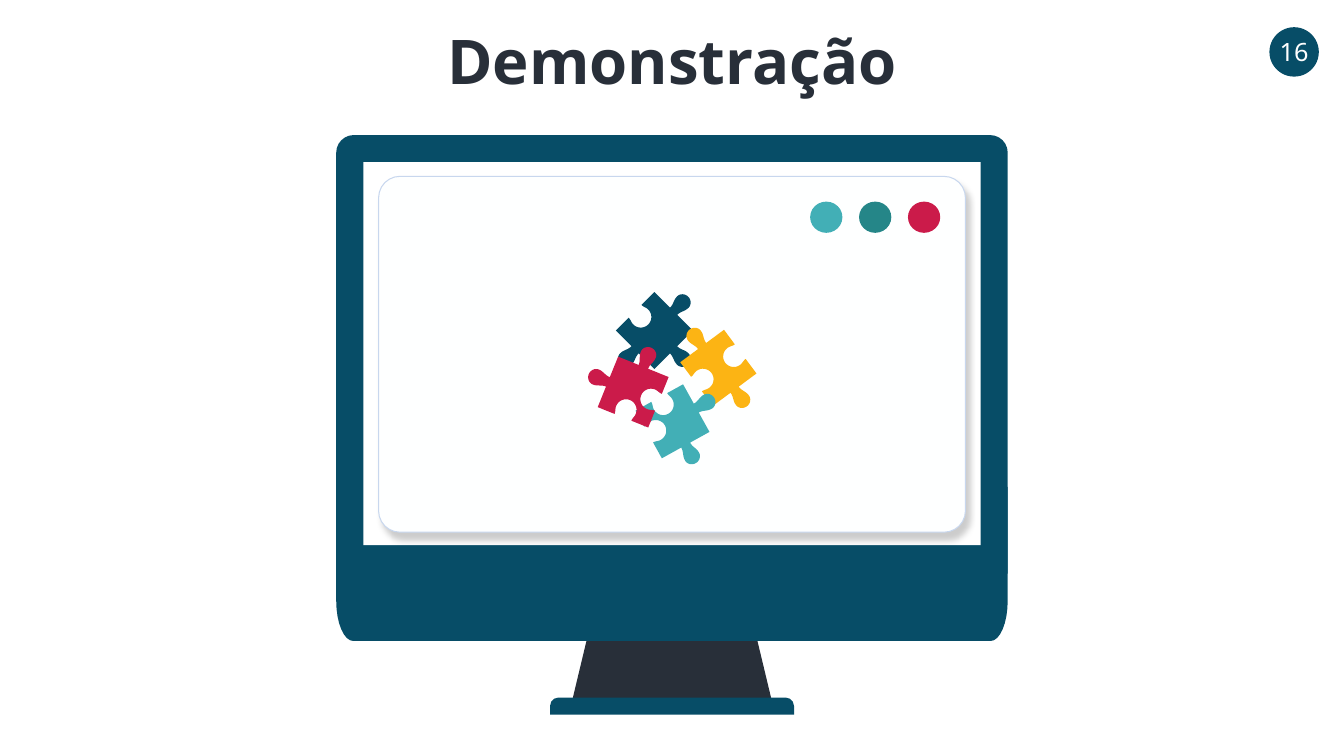
"""Build the demonstration slide: a desktop monitor showing a four-piece puzzle."""
import math

import lxml.etree
import pptx
import pptx.dml.color
import pptx.enum.shapes
import pptx.enum.text
import pptx.util

TITLE = "Demonstração"
PAGE = "16"
COLS, ROWS = 1333, 750
CURVE_STEPS = 8

THEME = {
    "font": "Noto Sans", "title": 44, "page": 18, "edge": 0.75,
    "navy": "074D67", "ink": "282F39", "white": "FFFFFF", "panel": "FEFFFF",
    "outline": "C8D7EE", "red": "CB1B4A", "green": "258688",
    "teal": "42AFB6", "gold": "FCB414", "shadow": "000000",
}

CENTERED = {
    "title": {"top": 17, "width": 874, "height": 84},
    "stand": {"top": 604, "width": 197, "height": 89},
    "foot": {"top": 692, "width": 242, "height": 17},
    "chin": {"top": 483, "width": 666, "height": 153},
    "bezel": {"top": 134, "width": 666, "height": 435},
    "screen": {"top": 161, "width": 612, "height": 380},
    "window": {"top": 175, "width": 582, "height": 353},
}
CHIN_RADII = (17, 40)
BADGE = (1259, 27, 49, 49)

BUTTONS = ["teal", "green", "red"]
BUTTON_W, BUTTON_H = 32, 31
BUTTON_PITCH = 48.5
BUTTON_INSET = 25

PIECE_SIDE = 54
KNOBS = {
    "tab": {"mouth": 5, "bulge": 8, "neck": 13, "depth": 20.5},
    "socket": {"mouth": 9, "bulge": 10.5, "neck": -8, "depth": -18.5},
}
PIECES = [
    {"color": "navy", "center": (649, 328), "angle": -45,
     "sides": ["socket", "tab", "tab", "tab"]},
    {"color": "gold", "center": (712.5, 365), "angle": -36.6,
     "sides": ["tab", "socket", "tab", "socket"]},
    {"color": "teal", "center": (667, 418), "angle": -29,
     "sides": ["socket", "tab", "tab", "socket"]},
    {"color": "red", "center": (628, 389), "angle": 22,
     "sides": ["tab", "socket", "socket", "tab"]},
]

prs = pptx.Presentation()
prs.slide_width = pptx.util.Inches(13.33)
prs.slide_height = pptx.util.Inches(7.5)
CELL_W, CELL_H = prs.slide_width / COLS, prs.slide_height / ROWS


def rgb(name):
    return pptx.dml.color.RGBColor.from_string(THEME[name])


def to_emu(x, y):
    return round(x * CELL_W), round(y * CELL_H)


def centered(name):
    part = CENTERED[name]
    return (COLS - part["width"]) / 2, part["top"], part["width"], part["height"]


def paint(sp, fill):
    sp.shadow.inherit = False
    sp.fill.solid()
    sp.fill.fore_color.rgb = rgb(fill)
    sp.line.fill.background()
    return sp


def add_preset(s, kind, box, fill, adjust=None):
    preset = getattr(pptx.enum.shapes.MSO_SHAPE, kind)
    sp = paint(s.shapes.add_shape(preset, *to_emu(*box[:2]), *to_emu(*box[2:])), fill)
    if adjust is not None:
        sp.adjustments[0] = adjust
    return sp


def add_outline(s, points, fill):
    points = [to_emu(x, y) for x, y in points]
    fb = s.shapes.build_freeform(*points[0], scale=1.0)
    fb.add_line_segments(points[1:], close=True)
    return paint(fb.convert_to_shape(), fill)


def cubic(start, control1, control2, end):
    points = []
    for step in range(CURVE_STEPS + 1):
        t = step / CURVE_STEPS
        weights = ((1 - t) ** 3, 3 * t * (1 - t) ** 2, 3 * t ** 2 * (1 - t), t ** 3)
        corners = (start, control1, control2, end)
        points.append(tuple(sum(w * c[axis] for w, c in zip(weights, corners))
                            for axis in (0, 1)))
    return points


def knob_profile(mouth, bulge, neck, depth):
    """Return a knob's points along a side, measured from the side's middle."""
    flank = cubic((-mouth, 0), (-mouth, neck * 0.4), (-bulge, neck * 0.6), (-bulge, neck))
    cap = cubic((-bulge, neck), (-bulge, neck + (depth - neck) * 0.55),
                (-bulge * 0.55, depth), (0, depth))
    left_half = flank + cap[1:]
    right_half = [(-along, out) for along, out in reversed(left_half[:-1])]
    return left_half + right_half


def piece_outline(center, angle, sides):
    """Walk clockwise round a square, adding a corner and a knob on each side."""
    half = PIECE_SIDE / 2
    points = []
    for quarter, side in enumerate(sides):
        turn = math.radians(angle + 90 * quarter)
        cos, sin = math.cos(turn), math.sin(turn)
        for along, out in [(-half, 0)] + knob_profile(**KNOBS[side]):
            reach = half + out
            points.append((center[0] + along * cos + reach * sin,
                           center[1] + along * sin - reach * cos))
    return points


def chin_outline():
    """Return a box with square top corners and elliptical bottom corners."""
    left, top, width, height = centered("chin")
    right, bottom = left + width, top + height
    rx, ry = CHIN_RADII
    quarter = [math.pi / 2 * i / CURVE_STEPS for i in range(CURVE_STEPS + 1)]
    right_corner = [(right - rx + rx * math.cos(a), bottom - ry + ry * math.sin(a))
                    for a in quarter]
    left_corner = [(left + right - x, y) for x, y in reversed(right_corner)]
    return [(left, top), (right, top)] + right_corner + left_corner


def write(sp, text, size, color, bold=False, wrap=True):
    tf = sp.text_frame
    tf.word_wrap = wrap
    tf.auto_size = pptx.enum.text.MSO_AUTO_SIZE.NONE
    tf.vertical_anchor = pptx.enum.text.MSO_ANCHOR.MIDDLE
    tf.margin_top = tf.margin_bottom = 0
    p = tf.paragraphs[0]
    p.alignment = pptx.enum.text.PP_ALIGN.CENTER
    r = p.add_run()
    r.text = text
    r.font.name = THEME["font"]
    r.font.size = pptx.util.Pt(THEME[size])
    r.font.bold = bold
    r.font.color.rgb = rgb(color)


def cast_shadow(sp, blur, distance, angle, opacity):
    qn = pptx.oxml.ns.qn
    effects = sp._element.spPr.find(qn("a:effectLst"))
    shadow = lxml.etree.SubElement(
        effects, qn("a:outerShdw"), blurRad=str(pptx.util.Pt(blur)),
        dist=str(pptx.util.Pt(distance)), dir=str(angle * 60000), algn="tl", rotWithShape="0")
    color = lxml.etree.SubElement(shadow, qn("a:srgbClr"), val=THEME["shadow"])
    lxml.etree.SubElement(color, qn("a:alpha"), val=str(opacity * 1000))


def add_monitor(s):
    add_preset(s, "TRAPEZOID", centered("stand"), "ink", 0.24)
    add_preset(s, "ROUND_2_SAME_RECTANGLE", centered("foot"), "navy", 0.5)
    add_outline(s, chin_outline(), "navy")
    add_preset(s, "ROUND_2_SAME_RECTANGLE", centered("bezel"), "navy", 0.04)
    add_preset(s, "RECTANGLE", centered("screen"), "white")


def add_window(s):
    left, top, width, height = centered("window")
    window = add_preset(s, "ROUNDED_RECTANGLE", centered("window"), "panel", 0.06)
    window.line.color.rgb = rgb("outline")
    window.line.width = pptx.util.Pt(THEME["edge"])
    cast_shadow(window, blur=4.5, distance=5.2, angle=63, opacity=20)
    last_x = left + width - BUTTON_INSET - BUTTON_W
    for back, color in enumerate(reversed(BUTTONS)):
        x = last_x - back * BUTTON_PITCH
        add_preset(s, "OVAL", (x, top + BUTTON_INSET, BUTTON_W, BUTTON_H), color)


def main():
    s = prs.slides.add_slide(prs.slide_layouts[5])
    title = s.shapes.title
    x, y, width, height = centered("title")
    title.left, title.top = to_emu(x, y)
    title.width, title.height = to_emu(width, height)
    write(title, TITLE, "title", "ink", bold=True)
    write(add_preset(s, "OVAL", BADGE, "navy"), PAGE, "page", "white", wrap=False)
    add_monitor(s)
    add_window(s)
    for piece in PIECES:
        outline = piece_outline(piece["center"], piece["angle"], piece["sides"])
        add_outline(s, outline, piece["color"])
    prs.save("out.pptx")


if __name__ == "__main__":
    main()
